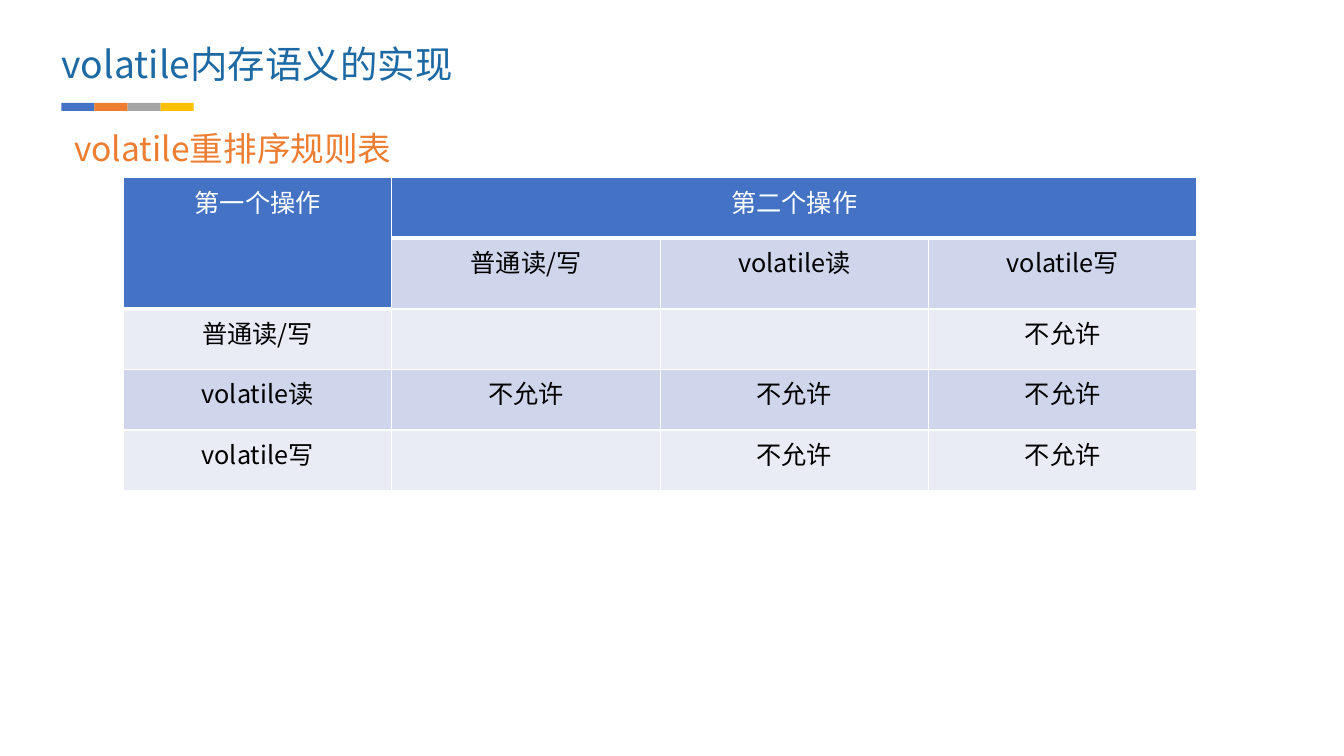
from lxml.etree import SubElement
from pptx import Presentation
from pptx.dml.color import RGBColor
from pptx.enum.shapes import MSO_SHAPE
from pptx.enum.text import MSO_ANCHOR, PP_ALIGN
from pptx.oxml.ns import qn
from pptx.util import Pt

FONT = "Noto Sans CJK SC"
TEAL = RGBColor(0x1D, 0x69, 0xA3)
BLUE = RGBColor(0x44, 0x72, 0xC4)
ORANGE = RGBColor(0xED, 0x7D, 0x31)
GRAY = RGBColor(0xA5, 0xA5, 0xA5)
GOLD = RGBColor(0xFF, 0xC0, 0x00)
WHITE = RGBColor(0xFF, 0xFF, 0xFF)
BLACK = RGBColor(0x00, 0x00, 0x00)
BANDS = [RGBColor(0xE9, 0xEB, 0xF5), RGBColor(0xCF, 0xD5, 0xEA)]


def write(frame, text, size, color, align=PP_ALIGN.LEFT):
    """Add one run, with the font set for Latin and East Asian text."""
    line = frame.paragraphs[0]
    line.alignment = align
    run = line.add_run()
    run.text = text
    run.font.size = Pt(size)
    run.font.color.rgb = color
    run.font.name = FONT
    SubElement(run.font._element, qn("a:ea"), typeface=FONT)


def border(cell, side, width):
    edge = SubElement(cell._tc.get_or_add_tcPr(), qn(f"a:ln{side}"), w=str(Pt(width)))
    fill = SubElement(edge, qn("a:solidFill"))
    SubElement(fill, qn("a:srgbClr"), val=str(WHITE))


deck = Presentation()
deck.slide_width, deck.slide_height = Pt(960), Pt(540)
slide = deck.slides.add_slide(deck.slide_layouts[5])

# Title and colour strip
title = slide.shapes.title
title.left, title.top, title.width, title.height = Pt(43.9), Pt(29.5), Pt(430), Pt(32.4)
frame = title.text_frame
frame.margin_left = frame.margin_top = frame.margin_right = frame.margin_bottom = 0
frame.vertical_anchor = MSO_ANCHOR.MIDDLE
write(frame, "volatile内存语义的实现", 26.7, TEAL)

for i, color in enumerate([BLUE, ORANGE, GRAY, GOLD]):
    bar = slide.shapes.add_shape(
        MSO_SHAPE.RECTANGLE, Pt(43.9 + 23.6 * i), Pt(73.5), Pt(23.6), Pt(5.8))
    bar.shadow.inherit = False
    bar.fill.solid()
    bar.fill.fore_color.rgb = color
    bar.line.fill.background()

# Subtitle
label = slide.shapes.add_textbox(Pt(40.3), Pt(87.8), Pt(270), Pt(36))
frame = label.text_frame
frame.word_wrap = True
frame.margin_left = Pt(12.6)
frame.vertical_anchor = MSO_ANCHOR.MIDDLE
write(frame, "volatile重排序规则表", 24, ORANGE)

# Table of reordering rules
NO = "不允许"
ROWS = [
    ["第一个操作", "第二个操作", "", ""],
    ["", "普通读/写", "volatile读", "volatile写"],
    ["普通读/写", "", "", NO],
    ["volatile读", NO, NO, NO],
    ["volatile写", "", NO, NO],
]
HEIGHTS = [43.2, 50.5, 43.2, 43.2, 43.2]
table = slide.shapes.add_table(
    5, 4, Pt(88.2), Pt(127), Pt(766.8), Pt(sum(HEIGHTS))).table
table.first_row = table.horz_banding = False
for col in table.columns:
    col.width = Pt(191.7)
for row, height in zip(table.rows, HEIGHTS):
    row.height = Pt(height)
table.cell(0, 0).merge(table.cell(1, 0))
table.cell(0, 1).merge(table.cell(0, 3))

for r, texts in enumerate(ROWS):
    for c, text in enumerate(texts):
        cell = table.cell(r, c)
        depth = 1 if c else 2  # header rows in this column
        head = r < depth
        border(cell, "L", 1)
        border(cell, "R", 1)
        border(cell, "T", 3 if r == depth else 1)
        border(cell, "B", 3 if head else 1)
        cell.fill.solid()
        cell.fill.fore_color.rgb = BLUE if head else BANDS[r % 2]
        if text:
            write(cell.text_frame, text, 18, WHITE if head else BLACK, PP_ALIGN.CENTER)

deck.save("out.pptx")
